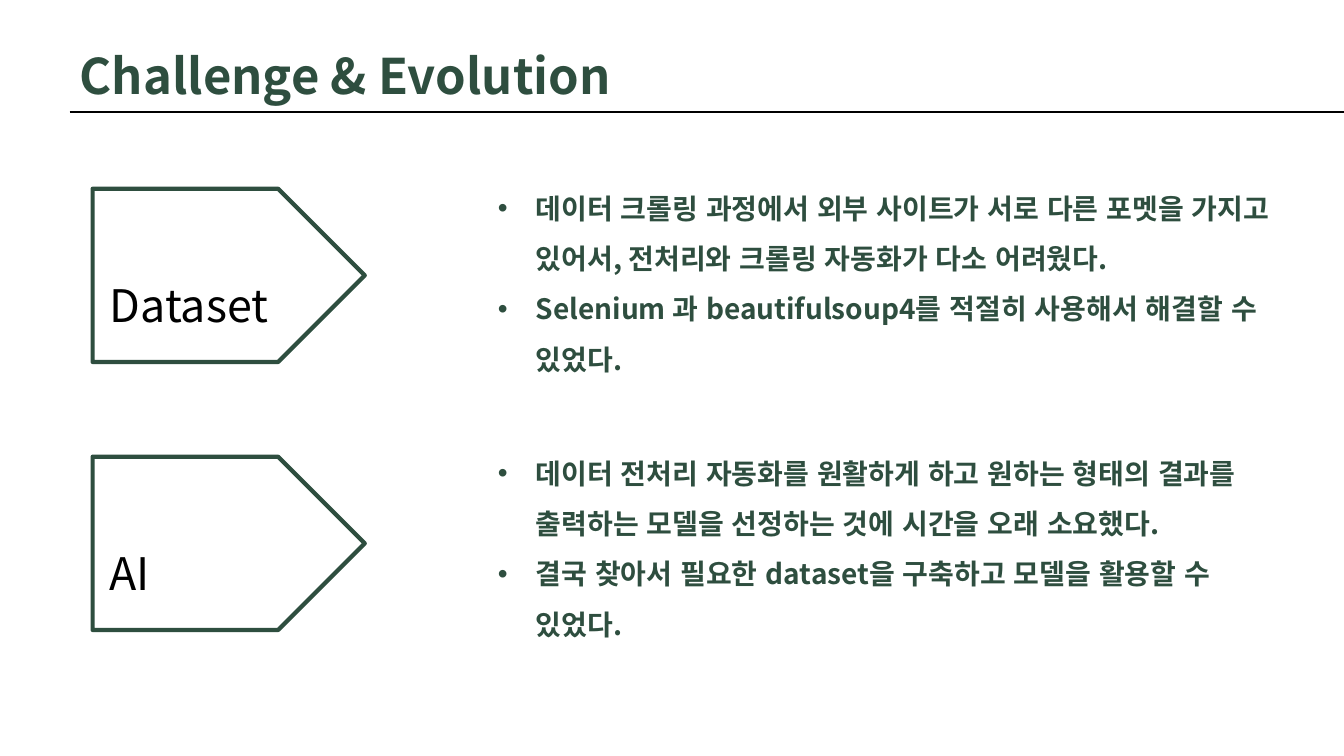
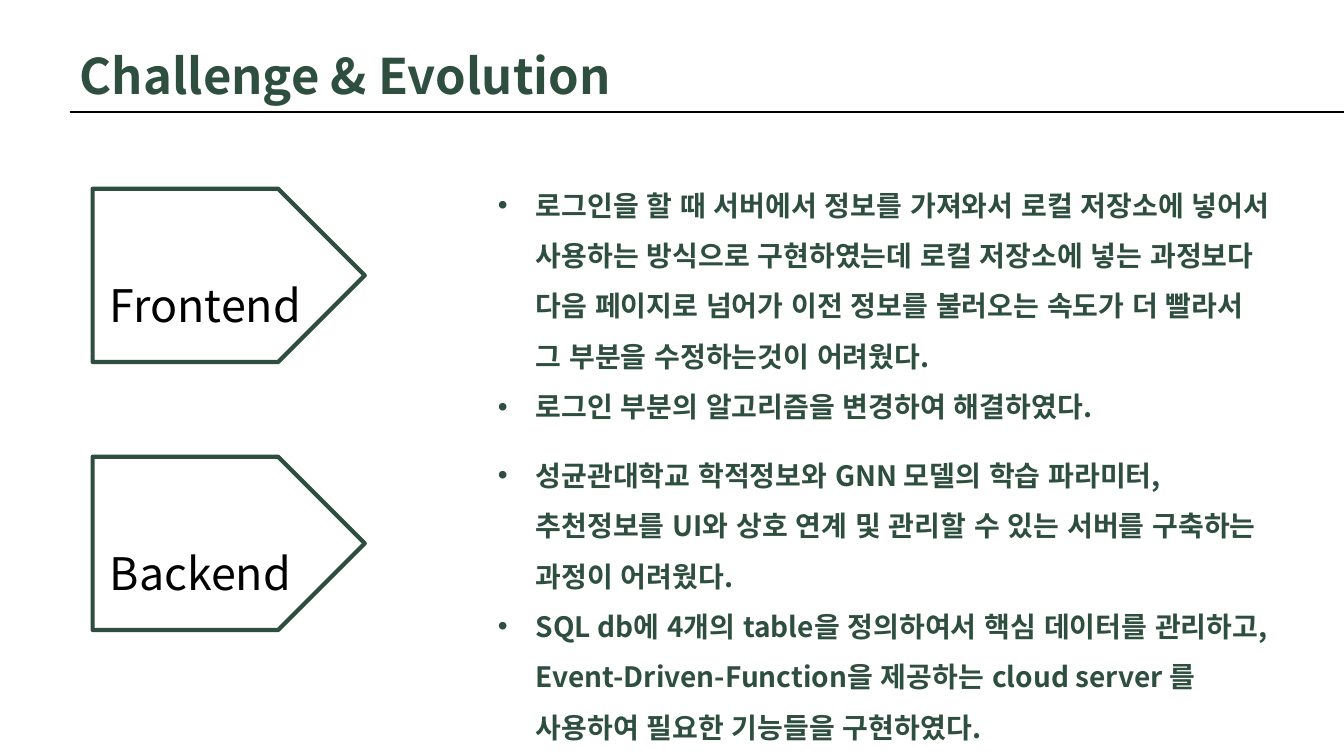
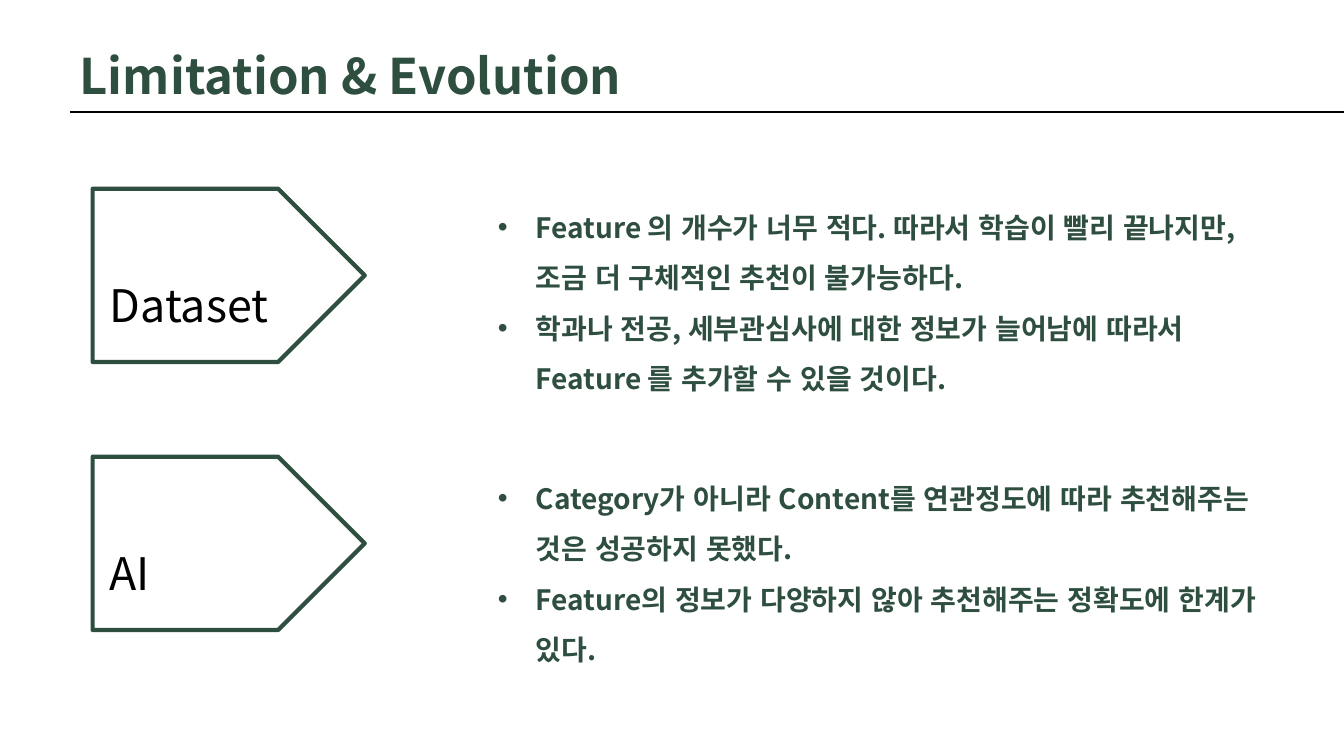
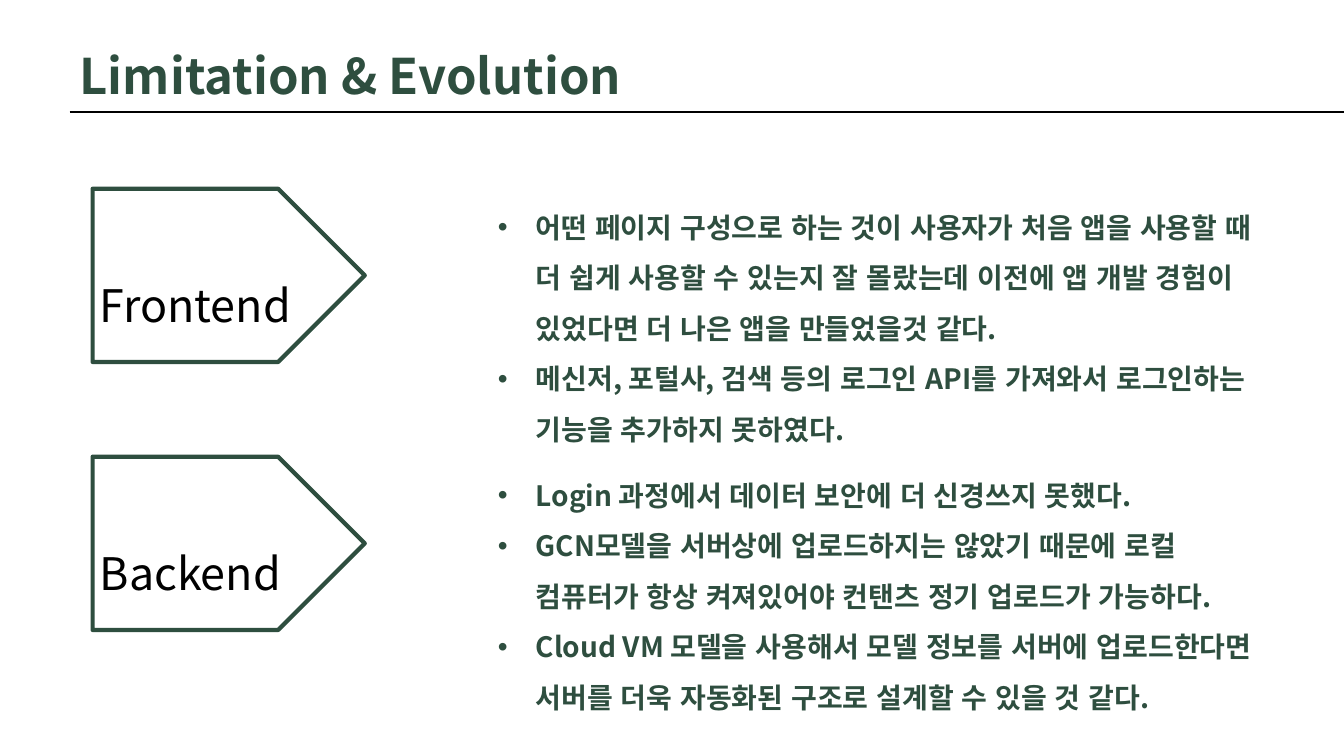
"""Build the four challenge and limitation slides of a project talk."""
from lxml import etree
from pptx import Presentation
from pptx.dml.color import RGBColor
from pptx.enum.lang import MSO_LANGUAGE_ID
from pptx.enum.shapes import MSO_CONNECTOR, MSO_SHAPE
from pptx.enum.text import MSO_ANCHOR, MSO_AUTO_SIZE, PP_ALIGN
from pptx.oxml.ns import qn
from pptx.util import Pt

PENTAGON = MSO_SHAPE.PENTAGON
STRAIGHT = MSO_CONNECTOR.STRAIGHT
TOP, BOTTOM = MSO_ANCHOR.TOP, MSO_ANCHOR.BOTTOM
LEFT = PP_ALIGN.LEFT
NO_FIT = MSO_AUTO_SIZE.NONE
KOREAN = MSO_LANGUAGE_ID.KOREAN

WIDTH, HEIGHT = 960, 540
TAG_TOPS = (134.8, 326.2)
COLORS = {"green": "2E4E3F", "black": "000000", "white": "FFFFFF"}
FONT = "Noto Sans CJK KR"

SLIDES = [
    ("Challenge & Evolution", 12.2, [
        ("Dataset", 121, 147, [
            "데이터 크롤링 과정에서 외부 사이트가 서로 다른 포멧을 가지고 있어서, 전처리와 크롤링 자동화가 다소 어려웠다.",
            "Selenium 과 beautifulsoup4를 적절히 사용해서 해결할 수 있었다.",
        ]),
        ("AI", 310.3, 147, [
            "데이터 전처리 자동화를 원활하게 하고 원하는 형태의 결과를 출력하는 모델을 선정하는 것에 시간을 오래 소요했다.",
            "결국 찾아서 필요한 dataset을 구축하고 모델을 활용할 수 있었다.",
        ]),
    ]),
    ("Challenge & Evolution", 12.2, [
        ("Frontend", 118.8, 185, [
            "로그인을 할 때 서버에서 정보를 가져와서 로컬 저장소에 넣어서 사용하는 방식으로 구현하였는데 로컬 저장소에 넣는 과정보다 다음 페이지로 넘어가 이전 정보를 불러오는 속도가 더 빨라서 그 부분을 수정하는것이 어려웠다.",
            "로그인 부분의 알고리즘을 변경하여 해결하였다.",
        ]),
        ("Backend", 311.8, 223, [
            "성균관대학교 학적정보와 GNN 모델의 학습 파라미터, 추천정보를 UI와 상호 연계 및 관리할 수 있는 서버를 구축하는 과정이 어려웠다.",
            "SQL db에 4개의 table을 정의하여서 핵심 데이터를 관리하고, Event-Driven-Function을 제공하는 cloud server 를 사용하여 필요한 기능들을 구현하였다.",
        ]),
    ]),
    ("Limitation & Evolution", 12.2, [
        ("Dataset", 134.8, 147, [
            "Feature 의 개수가 너무 적다. 따라서 학습이 빨리 끝나지만, 조금 더 구체적인 추천이 불가능하다.",
            "학과나 전공, 세부관심사에 대한 정보가 늘어남에 따라서 Feature 를 추가할 수 있을 것이다.",
        ]),
        ("AI", 328.3, 147, [
            "Category가 아니라 Content를 연관정도에 따라 추천해주는 것은 성공하지 못했다.",
            "Feature의 정보가 다양하지 않아 추천해주는 정확도에 한계가 있다.",
        ]),
    ]),
    ("Limitation & Evolution", 5, [
        ("Frontend", 134.8, 185, [
            "어떤 페이지 구성으로 하는 것이 사용자가 처음 앱을 사용할 때 더 쉽게 사용할 수 있는지 잘 몰랐는데 이전에 앱 개발 경험이 있었다면 더 나은 앱을 만들었을것 같다.",
            "메신저, 포털사, 검색 등의 로그인 API를 가져와서 로그인하는 기능을 추가하지 못하였다.",
        ]),
        ("Backend", 326.2, 185, [
            "Login 과정에서 데이터 보안에 더 신경쓰지 못했다.",
            "GCN모델을 서버상에 업로드하지는 않았기 때문에 로컬 컴퓨터가 항상 켜져있어야 컨탠츠 정기 업로드가 가능하다.",
            "Cloud VM 모델을 사용해서 모델 정보를 서버에 업로드한다면 서버를 더욱 자동화된 구조로 설계할 수 있을 것 같다.",
        ]),
    ]),
]


def rgb(name):
    return RGBColor.from_string(COLORS[name])


class Deck:
    def __init__(self):
        self.prs = Presentation()
        self.prs.slide_width, self.prs.slide_height = Pt(WIDTH), Pt(HEIGHT)
        self.s = None

    def frame(self, sp, anchor=TOP, left=3.6, bottom=3.6):
        tf = sp.text_frame
        tf.word_wrap = True
        tf.auto_size = NO_FIT
        tf.vertical_anchor = anchor
        tf.margin_left, tf.margin_bottom = Pt(left), Pt(bottom)
        tf.margin_top = tf.margin_right = Pt(3.6)
        return tf

    def add_text(self, p, text, size, spacing, color="green", bold=True):
        p.alignment = LEFT
        p.line_spacing = Pt(spacing)
        p.space_before = p.space_after = Pt(0)
        r = p.add_run()
        r.text = text
        r.font.size, r.font.bold = Pt(size), bold
        r.font.color.rgb = rgb(color)
        r.font.name = FONT
        r.font.language_id = KOREAN
        etree.SubElement(r._r.get_or_add_rPr(), qn("a:ea"), typeface=FONT)

    def slide(self, title):
        self.s = self.prs.slides.add_slide(self.prs.slide_layouts[5])
        sp = self.s.shapes.title
        sp.left, sp.top, sp.width, sp.height = Pt(53.3), Pt(33.1), Pt(821), Pt(49)
        self.add_text(self.frame(sp).paragraphs[0], title, 35, 38)
        self.rule(49.7, 79.9)

    def rule(self, x, y):
        line = self.s.shapes.add_connector(STRAIGHT, Pt(x), Pt(y), Pt(WIDTH), Pt(y))
        line.line.color.rgb = rgb("black")
        line.line.width = Pt(1)
        etree.SubElement(line._element.spPr, qn("a:effectLst"))

    def tag(self, top, text, inset):
        sp = self.s.shapes.add_shape(PENTAGON, Pt(66.2), Pt(top), Pt(194.4), Pt(123.8))
        sp.shadow.inherit = False
        sp.fill.solid()
        sp.fill.fore_color.rgb = rgb("white")
        sp.line.color.rgb = rgb("green")
        sp.line.width = Pt(3)
        tf = self.frame(sp, BOTTOM, inset, 21.5)
        self.add_text(tf.paragraphs[0], text, 32, 38.4, "black", False)

    def bullets(self, top, height, items):
        sp = self.s.shapes.add_textbox(Pt(352), Pt(top), Pt(564), Pt(height))
        tf = self.frame(sp)
        for i, text in enumerate(items):
            p = tf.add_paragraph() if i else tf.paragraphs[0]
            pPr = p._p.get_or_add_pPr()
            pPr.set("marL", str(Pt(27)))
            pPr.set("indent", str(-Pt(27)))
            etree.SubElement(pPr, qn("a:buFont"), typeface="Arial")
            etree.SubElement(pPr, qn("a:buChar"), char="•")
            self.add_text(p, text, 20, 36)


def main():
    deck = Deck()
    for title, inset, topics in SLIDES:
        deck.slide(title)
        for tag_top, (label, top, height, items) in zip(TAG_TOPS, topics):
            deck.tag(tag_top, label, inset)
            deck.bullets(top, height, items)
    deck.prs.save("out.pptx")


if __name__ == "__main__":
    main()
